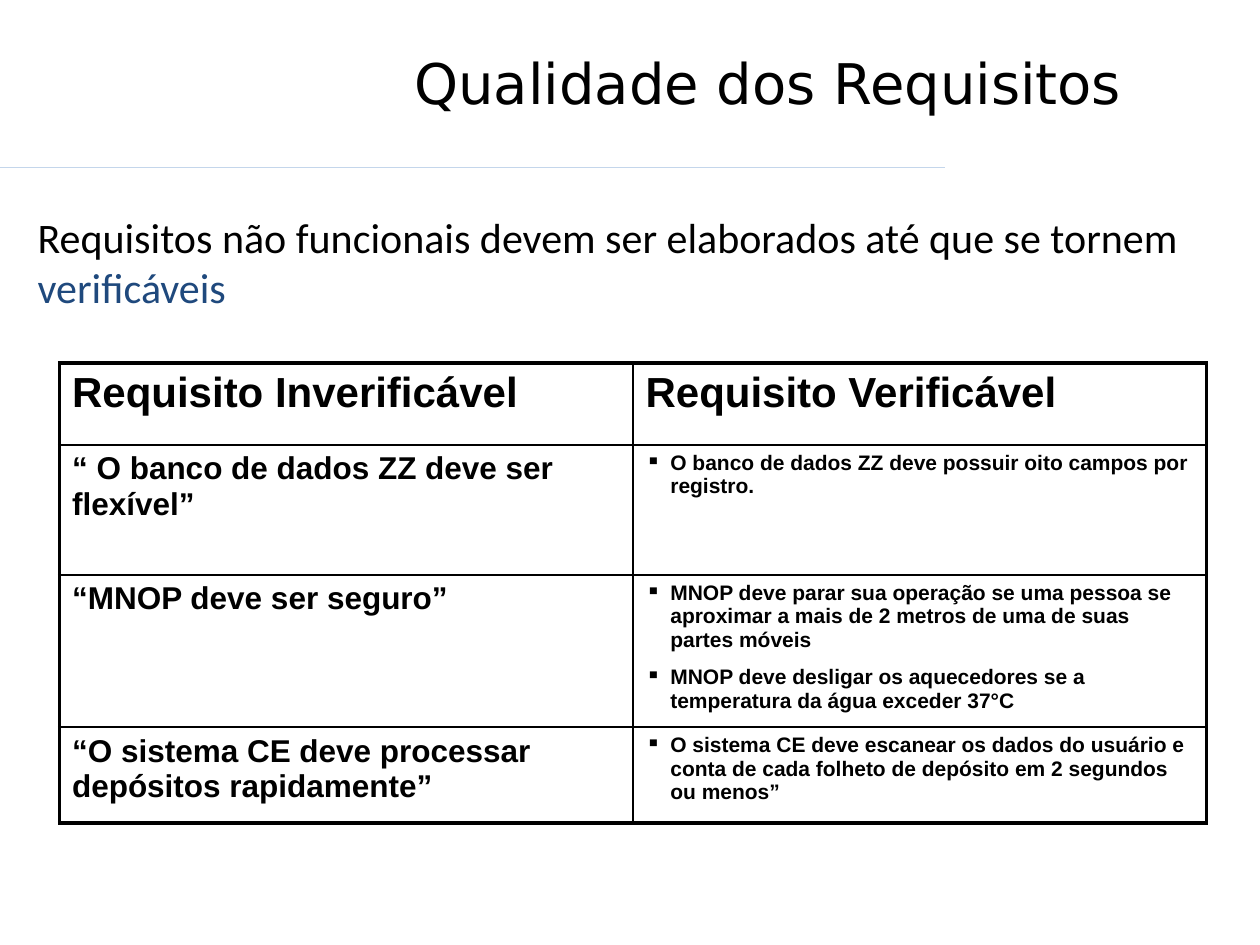
from lxml.etree import SubElement
from pptx import Presentation
from pptx.dml.color import RGBColor
from pptx.enum.text import MSO_ANCHOR as Anchor, PP_ALIGN as Align
from pptx.oxml.ns import qn
from pptx.util import Cm, Pt


def rgb(value):
    return RGBColor.from_string(value)


def set_border(tc_pr, side, width):
    ln = SubElement(tc_pr, qn(f"a:ln{side}"), w=str(Pt(width)))
    fill = SubElement(ln, qn("a:solidFill"))
    SubElement(fill, qn("a:srgbClr"), val="000000")


prs = Presentation()
prs.slide_width, prs.slide_height = Cm(25.4), Cm(19.05)
s = prs.slides.add_slide(prs.slide_layouts[5])

rule = s.shapes.add_connector(1, 0, Cm(3.38), Cm(19.05), Cm(3.38))
rule.line.color.rgb = rgb("C4D6EB")
rule.line.width = Pt(0.75)
SubElement(rule._element.spPr, qn("a:effectLst"))

title = s.shapes.title
title.left, title.top, title.width, title.height = Cm(8.1), Cm(0.74), Cm(16.79), Cm(2.21)
tf = title.text_frame
tf.text = "Qualidade dos Requisitos"
tf.vertical_anchor = Anchor.TOP
tf.margin_top = Cm(0.23)
p = tf.paragraphs[0]
p.alignment = Align.LEFT
p.font.name, p.font.size = "DejaVu Sans", Pt(32)
p.font.color.rgb = rgb("000000")

body = s.shapes.add_textbox(Cm(0.51), Cm(4.14), Cm(24.41), Cm(13.72))
tf = body.text_frame
tf.word_wrap = True
p = tf.paragraphs[0]
p.font.name, p.font.size = "Calibri", Pt(24)
for text, color in [
    ("Requisitos não funcionais devem ser elaborados até que se tornem ", "000000"),
    ("verificáveis", "1F497D"),
]:
    r = p.add_run()
    r.text = text
    r.font.color.rgb = rgb(color)

rows = [
    (1.65, "Requisito Inverificável", ["Requisito Verificável"]),
    (2.62, "“ O banco de dados ZZ deve ser flexível”",
     ["O banco de dados ZZ deve possuir oito campos por registro."]),
    (2.41, "“MNOP deve ser seguro”",
     ["MNOP deve parar sua operação se uma pessoa se aproximar a mais de 2 metros "
      "de uma de suas partes móveis",
      "MNOP deve desligar os aquecedores se a temperatura da água exceder 37°C"]),
    (1.93, "“O sistema CE deve processar depósitos rapidamente”",
     ["O sistema CE deve escanear os dados do usuário e conta de cada folheto "
      "de depósito em 2 segundos ou menos”"]),
]
height = sum(row[0] for row in rows)
table = s.shapes.add_table(len(rows), 2, Cm(1.2), Cm(7.32), Cm(23.12), Cm(height)).table
table.first_row = table.horz_banding = False
last = len(rows) - 1

for i, (row_height, unverifiable, verifiable) in enumerate(rows):
    table.rows[i].height = Cm(row_height)
    for j, texts in enumerate([[unverifiable], verifiable]):
        cell = table.cell(i, j)
        tc_pr = cell._tc.get_or_add_tcPr()
        outer = {"L": j == 0, "R": j == 1, "T": i == 0, "B": i == last}
        for side, is_outer in outer.items():
            set_border(tc_pr, side, 2.25 if is_outer else 1)
        cell.fill.background()
        tf = cell.text_frame
        tf.text = "\n".join(texts)
        size = 24 if i == 0 else (18, 12)[j]
        for k, p in enumerate(tf.paragraphs):
            if i and j:
                p_pr = p._p.get_or_add_pPr()
                p_pr.set("marL", str(Cm(0.5)))
                p_pr.set("indent", str(-Cm(0.5)))
                SubElement(p_pr, qn("a:buChar"), char="▪")
            if k:
                p.space_before = Pt(7.8)
            p.font.name, p.font.size, p.font.bold = "Arial", Pt(size), True
            p.font.color.rgb = rgb("000000")

prs.save("out.pptx")
